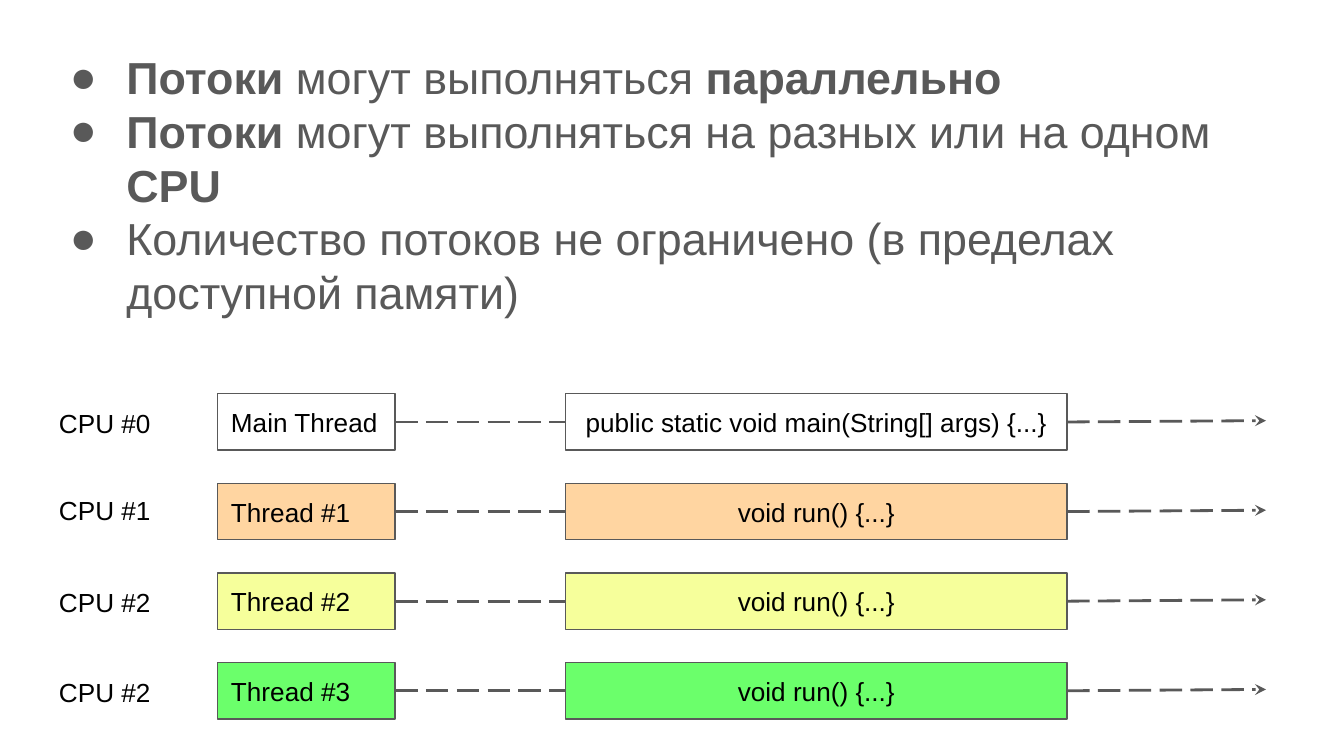
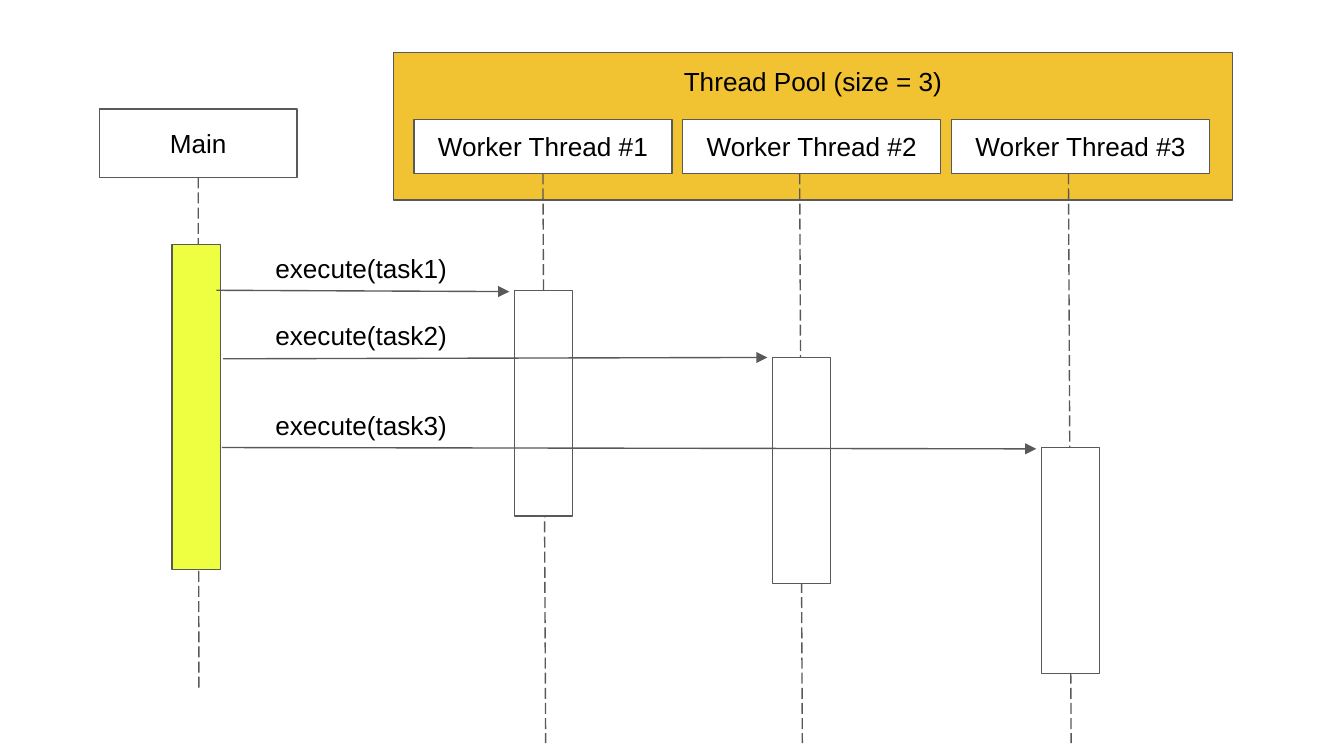
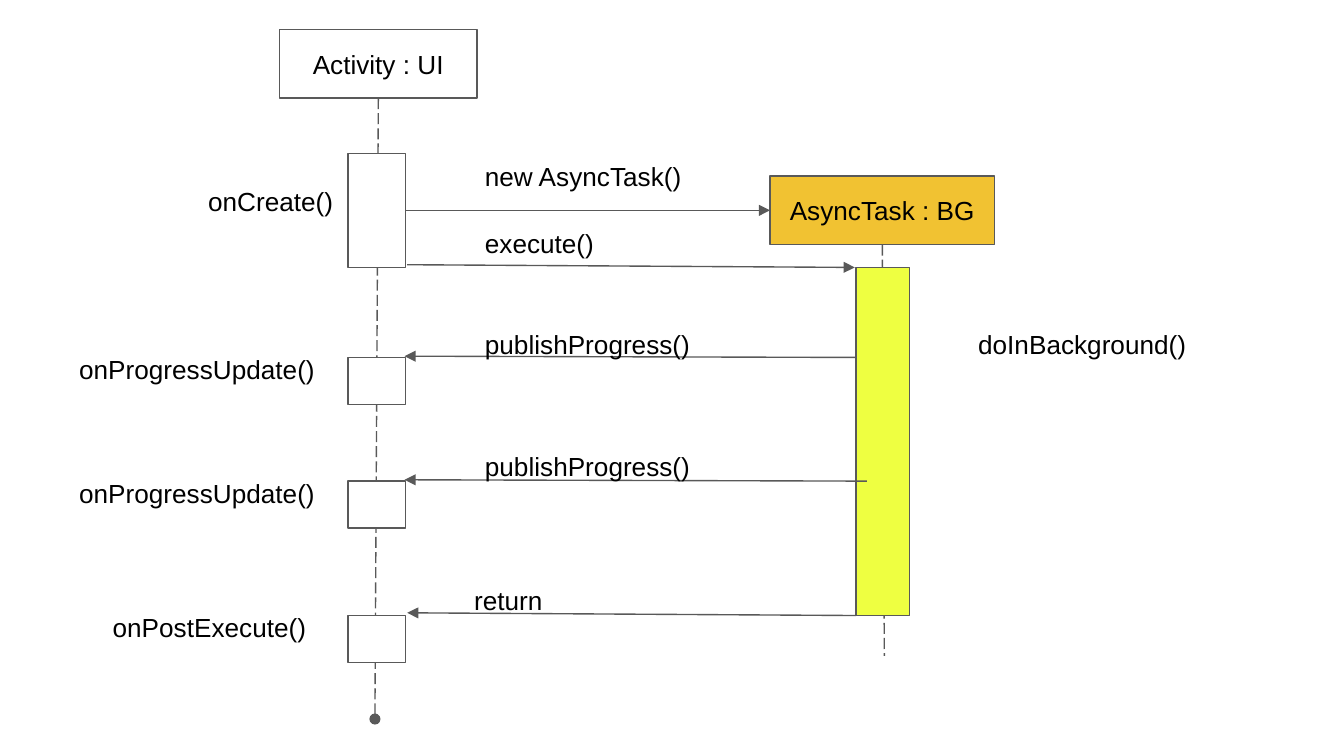
from lxml import etree
from pptx import Presentation
from pptx.dml.color import RGBColor
from pptx.enum.dml import MSO_LINE
from pptx.enum.shapes import MSO_CONNECTOR, MSO_SHAPE
from pptx.enum.text import MSO_ANCHOR, MSO_AUTO_SIZE, PP_ALIGN
from pptx.oxml.ns import qn
from pptx.util import Inches, Pt

RECT = MSO_SHAPE.RECTANGLE
STRAIGHT = MSO_CONNECTOR.STRAIGHT
LONG_DASH = MSO_LINE.LONG_DASH
LEFT, CENTER = PP_ALIGN.LEFT, PP_ALIGN.CENTER
TOP, MIDDLE = MSO_ANCHOR.TOP, MSO_ANCHOR.MIDDLE
NO_AUTOFIT = MSO_AUTO_SIZE.NONE
SITE_TOP, SITE_LEFT, SITE_BOTTOM, SITE_RIGHT = range(4)

FONT = "Arial"
GRAY, BLACK, WHITE = "595959", "000000", "FFFFFF"
GOLD, YELLOW, ORANGE, GREEN = "F1C232", "EEFF41", "FFAB40", "00FF00"
rgb = RGBColor.from_string


def box(s, x, y, w, h, text="", fill=None, align=CENTER, anchor=MIDDLE, alpha=None):
    at = [Inches(v) for v in (x, y, w, h)]
    if fill:
        sp = s.shapes.add_shape(RECT, *at)
        sp.shadow.inherit = False
        sp.fill.solid()
        sp.fill.fore_color.rgb = rgb(fill)
        sp.line.color.rgb = rgb(GRAY)
        sp.line.width = Pt(0.75)
        if alpha:
            clr = sp.fill._xPr.find(".//" + qn("a:srgbClr"))
            etree.SubElement(clr, qn("a:alpha"), val=str(alpha * 1000))
    else:
        sp = s.shapes.add_textbox(*at)
        align, anchor = LEFT, TOP
    tf = sp.text_frame
    tf.word_wrap = True
    tf.vertical_anchor = anchor
    tf.margin_left = tf.margin_right = tf.margin_top = tf.margin_bottom = Inches(0.1)
    if text:
        tf.text = text
        p = tf.paragraphs[0]
        p.alignment = align
        f = p.runs[0].font
        f.name, f.size, f.color.rgb = FONT, Pt(14), rgb(BLACK)
    return sp


def line(s, x1, y1, x2, y2, tail=None, dash=False, width=0.75, begin=None, end=None):
    c = s.shapes.add_connector(STRAIGHT, *[Inches(v) for v in (x1, y1, x2, y2)])
    if begin:
        c.begin_connect(*begin)
    if end:
        c.end_connect(*end)
    c.line.color.rgb = rgb(GRAY)
    c.line.width = Pt(width)
    if dash:
        c.line.dash_style = LONG_DASH
    if tail:
        etree.SubElement(c.line._get_or_add_ln(), qn("a:tailEnd"), type=tail)
    etree.SubElement(c._element.spPr, qn("a:effectLst"))


prs = Presentation()
prs.slide_width = Inches(10)
prs.slide_height = prs.slide_width * 9 // 16
BODY_LAYOUT, BLANK_LAYOUT = prs.slide_layouts[1], prs.slide_layouts[6]

s = prs.slides.add_slide(BODY_LAYOUT)
title = s.shapes.title._element
title.getparent().remove(title)
body = s.placeholders[1]
body.left, body.top, body.width, body.height = [Inches(v) for v in (0.34, 0.27, 9.32, 2.21)]
tf = body.text_frame
tf.auto_size = NO_AUTOFIT
tf.vertical_anchor = TOP
tf.margin_left = tf.margin_right = tf.margin_top = tf.margin_bottom = Inches(0.1)
bullets = [
    [("Потоки", True), (" могут выполняться ", False), ("параллельно", True)],
    [("Потоки", True), (" могут выполняться на разных или на одном ", False), ("CPU", True)],
    [("Количество потоков не ограничено (в пределах доступной памяти)", False)],
]
for i, runs in enumerate(bullets):
    p = tf.paragraphs[0] if i == 0 else tf.add_paragraph()
    p.alignment = LEFT
    p.line_spacing = 1.0
    p.space_before = p.space_after = Pt(0)
    pPr = p._p.get_or_add_pPr()
    pPr.set("marL", str(Inches(0.5)))
    pPr.set("indent", str(Inches(-0.42)))
    buClr = etree.SubElement(pPr, qn("a:buClr"))
    etree.SubElement(buClr, qn("a:srgbClr"), val=GRAY)
    etree.SubElement(pPr, qn("a:buFont"), typeface=FONT)
    etree.SubElement(pPr, qn("a:buChar"), char="●")
    for text, bold in runs:
        r = p.add_run()
        r.text = text
        f = r.font
        f.name, f.size, f.bold, f.color.rgb = FONT, Pt(24), bold, rgb(GRAY)

run = "void run() {...}"
threads = [
    ("CPU #0", 2.93, "Main Thread", "public static void main(String[] args) {...}", WHITE, None),
    ("CPU #1", 3.58, "Thread #1", run, ORANGE, 49),
    ("CPU #2", 4.26, "Thread #2", run, YELLOW, 52),
    ("CPU #2", 4.93, "Thread #3", run, GREEN, 58),
]
row_h = 0.42
for i, (cpu, cpu_y, name, code, fill, alpha) in enumerate(threads):
    y = 2.93 + i * 2 / 3
    mid = y + row_h / 2
    box(s, 0.34, cpu_y, 0.92, row_h, cpu)
    thread = box(s, 1.62, y, 1.32, row_h, name, fill, LEFT, alpha=alpha)
    method = box(s, 4.21, y, 3.73, row_h, code, fill, alpha=alpha)
    line(s, 2.94, mid, 4.21, mid, dash=True, width=1.5,
         begin=(thread, SITE_RIGHT), end=(method, SITE_LEFT))
    line(s, 7.94, mid, 9.42, mid - 0.01, "stealth", True, 1.5, begin=(method, SITE_RIGHT))

s = prs.slides.add_slide(BLANK_LAYOUT)
main = box(s, 0.74, 0.81, 1.47, 0.51, "Main", WHITE)
box(s, 2.93, 0.39, 6.24, 1.1, "Thread Pool (size = 3)", GOLD, anchor=TOP)
line(s, 1.48, 1.32, 1.48, 5.13, dash=True, begin=(main, SITE_BOTTOM))
box(s, 1.28, 1.82, 0.36, 2.42, fill=YELLOW)
workers = [(4.04, 3.83, 2.16), (5.95, 5.75, 2.66), (7.95, 7.75, 3.33)]
for i, (life_x, bar_x, bar_y) in enumerate(workers):
    worker = box(s, 3.08 + 2 * i, 0.89, 1.92, 0.4, f"Worker Thread #{i + 1}", WHITE)
    line(s, life_x, 1.29, life_x + 0.02, 5.53, dash=True,
         begin=(worker, SITE_BOTTOM) if i == 0 else None)
    box(s, bar_x, bar_y, 0.43, 1.68, fill=WHITE)
    box(s, 1.95, bar_y - 0.38, 1.64, 0.4, f"execute(task{i + 1})")
for x1, y1, x2, y2 in [
    (1.61, 2.16, 3.79, 2.17),
    (1.66, 2.67, 5.71, 2.66),
    (1.65, 3.33, 7.71, 3.34),
]:
    line(s, x1, y1, x2, y2, "triangle")

s = prs.slides.add_slide(BLANK_LAYOUT)
activity = box(s, 2.08, 0.22, 1.47, 0.51, "Activity : UI", WHITE)
task = box(s, 5.73, 1.31, 1.67, 0.51, "AsyncTask : BG", GOLD)
line(s, 2.81, 0.73, 2.79, 5.35, "oval", True, begin=(activity, SITE_BOTTOM))
line(s, 6.57, 1.82, 6.58, 4.88, dash=True, begin=(task, SITE_BOTTOM))
line(s, 6.45, 2.66, 3.01, 2.65, "triangle")
box(s, 6.37, 1.99, 0.4, 2.59, fill=YELLOW)
create = box(s, 2.59, 1.14, 0.43, 0.85, fill=WHITE)
for y in (2.66, 3.58, 4.58):
    box(s, 2.59, y, 0.43, 0.35, fill=WHITE)

line(s, 3.02, 1.56, 5.73, 1.56, "triangle", begin=(create, SITE_RIGHT), end=(task, SITE_LEFT))
for x1, y1, x2, y2 in [
    (3.03, 1.97, 6.36, 1.99),
    (6.45, 3.58, 3.01, 3.57),
    (6.37, 4.58, 3.03, 4.56),
]:
    line(s, x1, y1, x2, y2, "triangle")

for x, y, w, h, text in [
    (1.45, 1.28, 1.15, 0.4, "onCreate()"),
    (0.49, 2.53, 2.11, 0.4, "onProgressUpdate()"),
    (0.49, 3.45, 2.11, 0.4, "onProgressUpdate()"),
    (0.74, 4.45, 1.67, 0.4, "onPostExecute()"),
    (3.51, 1.09, 1.94, 0.4, "new AsyncTask()"),
    (3.51, 1.59, 1.94, 0.4, "execute()"),
    (3.51, 2.34, 1.94, 0.4, "publishProgress()"),
    (3.51, 3.25, 1.94, 0.4, "publishProgress()"),
    (3.43, 4.25, 1.94, 0.4, "return"),
    (7.18, 2.34, 1.94, 0.7, "doInBackground()"),
]:
    box(s, x, y, w, h, text)

prs.save("out.pptx")
